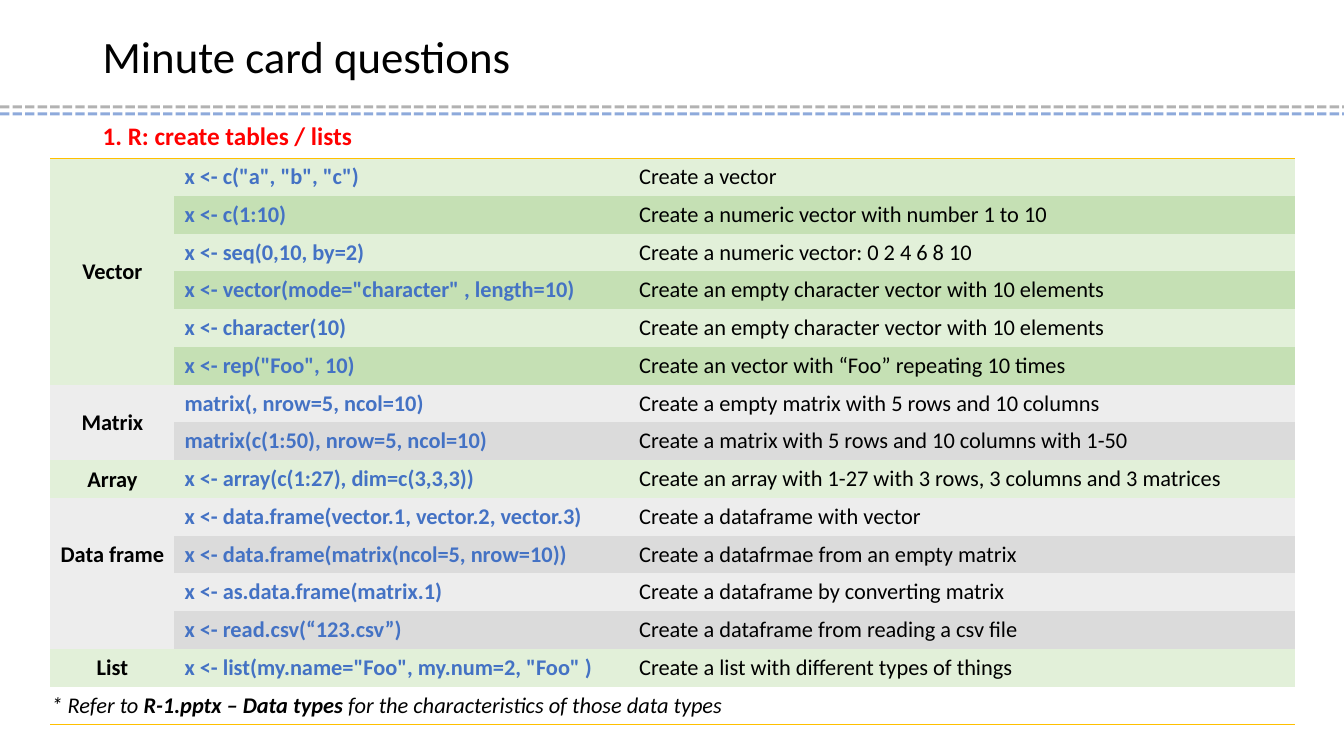
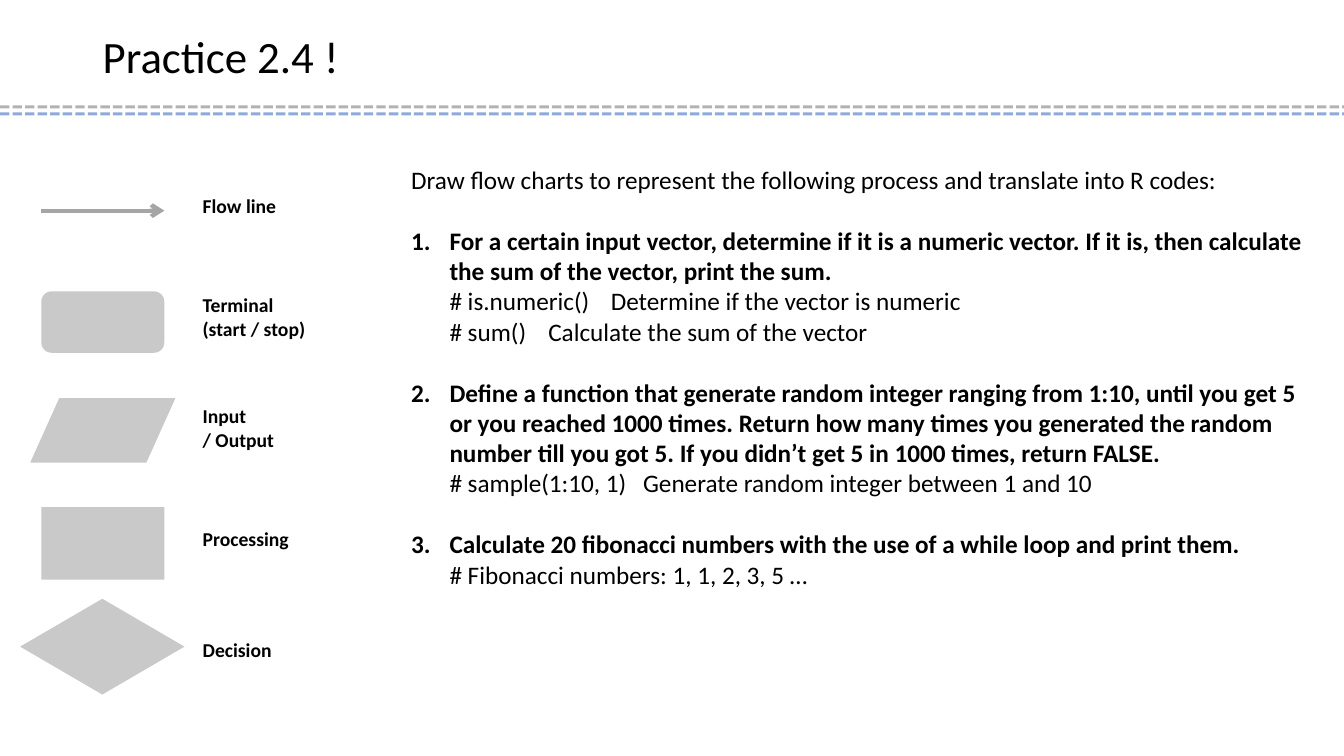
from dataclasses import dataclass

from lxml import etree
from pptx import Presentation
from pptx.dml.color import RGBColor
from pptx.enum.dml import MSO_LINE
from pptx.enum.shapes import MSO_CONNECTOR, MSO_SHAPE
from pptx.enum.text import MSO_ANCHOR, PP_ALIGN
from pptx.oxml.ns import qn
from pptx.util import Inches, Pt

STRAIGHT = MSO_CONNECTOR.STRAIGHT
SYS_DASH = MSO_LINE.SQUARE_DOT
MIDDLE = MSO_ANCHOR.MIDDLE
CENTER = PP_ALIGN.CENTER
ROUNDED = MSO_SHAPE.ROUNDED_RECTANGLE
DATA = MSO_SHAPE.FLOWCHART_DATA
RECTANGLE = MSO_SHAPE.RECTANGLE
DIAMOND = MSO_SHAPE.DIAMOND

FONT = "Calibri"
BLACK, RED, BLUE, GOLD = "000000", "FF0000", "4472C4", "FFC000"
BAND_GRAY, ARROW_GRAY, SYMBOL_GRAY = "808080", "A5A5A5", "C9C9C9"
GREENS, GRAYS = ("E2F0D9", "C5E0B4"), ("EDEDED", "DBDBDB")
PLAIN_TABLE = "{2D5ABB26-0587-4C30-8999-92F81FD0307C}"
WIDTH, HEIGHT = 13.33, 7.5
INDENT = 0.38


@dataclass
class DataType:
    name: str
    merged_rows: int
    shades: tuple[str, str]
    commands: list[tuple[str, str]]


@dataclass
class Symbol:
    preset: int
    left: float
    top: float
    width: float
    height: float


@dataclass
class Hint:
    text: str
    gap: float = 0


@dataclass
class Task:
    question: str
    hints: list[Hint]


DATA_TYPES = [
    DataType("Vector", 6, GREENS, [
        ('x <- c("a", "b", "c")', "Create a vector"),
        ("x <- c(1:10)", "Create a numeric vector with number 1 to 10"),
        ("x <- seq(0,10, by=2)", "Create a numeric vector: 0 2 4 6 8 10"),
        ('x <- vector(mode="character" , length=10)',
         "Create an empty character vector with 10 elements"),
        ("x <- character(10)", "Create an empty character vector with 10 elements"),
        ('x <- rep("Foo", 10)', "Create an vector with “Foo” repeating 10 times"),
    ]),
    DataType("Matrix", 2, GRAYS, [
        ("matrix(, nrow=5, ncol=10)", "Create a empty matrix with 5 rows and 10 columns"),
        ("matrix(c(1:50), nrow=5, ncol=10)",
         "Create a matrix with 5 rows and 10 columns with 1-50"),
    ]),
    DataType("Array", 1, GREENS, [
        ("x <- array(c(1:27), dim=c(3,3,3))",
         "Create an array with 1-27 with 3 rows, 3 columns and 3 matrices"),
    ]),
    DataType("Data frame", 3, GRAYS, [
        ("x <- data.frame(vector.1, vector.2, vector.3)", "Create a dataframe with vector"),
        ("x <- data.frame(matrix(ncol=5, nrow=10))",
         "Create a datafrmae from an empty matrix"),
        ("x <- as.data.frame(matrix.1)", "Create a dataframe by converting matrix"),
        ("x <- read.csv(“123.csv”)", "Create a dataframe from reading a csv file"),
    ]),
    DataType("List", 1, GREENS, [
        ('x <- list(my.name="Foo", my.num=2, "Foo" )',
         "Create a list with different types of things"),
    ]),
]
# Footnote runs: text, bold
FOOTNOTE = [("* Refer to ", False), ("R-1.pptx – Data types ", True),
            ("for the characteristics of those data types", False)]

SYMBOLS = [
    Symbol(ROUNDED, 0.41, 2.89, 1.22, 0.61),
    Symbol(DATA, 0.3, 3.95, 1.44, 0.64),
    Symbol(RECTANGLE, 0.41, 5.03, 1.22, 0.72),
    Symbol(DIAMOND, 0.2, 5.94, 1.63, 0.95),
]
SYMBOL_LABELS = ["Flow line", "Terminal\n(start / stop)", "Input\n/ Output",
                 "Processing", "Decision"]
INTRO = "Draw flow charts to represent the following process and translate into R codes:"
TASKS = [
    Task("For a certain input vector, determine if it is a numeric vector. "
         "If it is, then calculate\vthe sum of the vector, print the sum.",
         [Hint("# is.numeric()\tDetermine if the vector is numeric", 1.98),
          Hint("# sum()\tCalculate the sum of the vector", 1.36)]),
    Task("Define a function that generate random integer ranging from 1:10, until you get 5 "
         "or you reached 1000 times. Return how many times you generated the random "
         "number till you got 5. If you didn’t get 5 in 1000 times, return FALSE.",
         [Hint("# sample(1:10, 1)\tGenerate random integer between 1 and 10", 2.3)]),
    Task("Calculate 20 fibonacci numbers with the use of a while loop and print them.",
         [Hint("# Fibonacci numbers: 1, 1, 2, 3, 5 …")]),
]


def rgb(color: str) -> RGBColor:
    return RGBColor.from_string(color)


def style(paragraph, size: float, color: str = BLACK, bold: bool = False) -> None:
    font = paragraph.font
    font.name, font.size, font.bold = FONT, Pt(size), bold
    font.color.rgb = rgb(color)


def add_text_box(slide, left: float, top: float, width: float, height: float):
    frame = slide.shapes.add_textbox(
        Inches(left), Inches(top), Inches(width), Inches(height)).text_frame
    frame.word_wrap = True
    return frame


def add_line(slide, left: float, right: float, y: float, color: str, width: float):
    line = slide.shapes.add_connector(
        STRAIGHT, Inches(left), Inches(y), Inches(right), Inches(y))
    line.line.color.rgb = rgb(color)
    line.line.width = Pt(width)
    etree.SubElement(line._element.spPr, qn("a:effectLst"))
    return line


def add_titled_slide(prs, title: str):
    """Blank slide with the shared title and the two dashed bands."""
    slide = prs.slides.add_slide(prs.slide_layouts[6])
    for y, color in ((1.06, BAND_GRAY), (1.13, BLUE)):
        band = add_line(slide, 0, WIDTH, y, color, 2.25)
        band.line.dash_style = SYS_DASH
        for fill in band._element.spPr.iter(qn("a:srgbClr")):
            etree.SubElement(fill, qn("a:alpha"), val="60000")
    frame = add_text_box(slide, 0.92, 0.18, 11.5, 0.81)
    frame.vertical_anchor = MIDDLE
    heading = frame.paragraphs[0]
    heading.text = title
    heading.line_spacing = 0.9
    style(heading, 32)
    return slide


def add_plain_table(slide, left: float, top: float, columns: list[float],
                    rows: int, height: float):
    graphic = slide.shapes.add_table(rows, len(columns), Inches(left), Inches(top),
                                     Inches(sum(columns)), Inches(height))
    for style_id in graphic._element.iter(qn("a:tableStyleId")):
        style_id.text = PLAIN_TABLE
    table = graphic.table
    table.first_row = table.horz_banding = False
    for column, width in zip(table.columns, columns):
        column.width = Inches(width)
    for row in table.rows:
        row.height = Inches(height / rows)
    return table


def fill_cell(cell, text: str, size: float, color: str = BLACK, bold: bool = False,
              shade: str = "") -> None:
    if shade:
        cell.fill.solid()
        cell.fill.fore_color.rgb = rgb(shade)
    else:
        cell.fill.background()
    cell.text = text
    for paragraph in cell.text_frame.paragraphs:
        style(paragraph, size, color, bold)


def tighten(cell) -> None:
    cell.vertical_anchor = MIDDLE
    cell.margin_left = cell.margin_right = cell.margin_top = Inches(0.01)
    cell.margin_bottom = 0


def add_top_border(cell) -> None:
    edge = etree.Element(qn("a:lnT"), w=str(Pt(1)))
    fill = etree.SubElement(edge, qn("a:solidFill"))
    etree.SubElement(fill, qn("a:srgbClr"), val=GOLD)
    cell._tc.get_or_add_tcPr().insert(0, edge)


def build_data_types(prs) -> None:
    slide = add_titled_slide(prs, "Minute card questions")
    topic = add_text_box(slide, 0.92, 1.2, 11.5, 0.37).paragraphs[0]
    topic.text = "1. R: create tables / lists"
    topic.line_spacing = 0.8
    style(topic, 18, RED, True)

    # Commands grouped by data type
    left, top, height, columns = 0.5, 1.57, 5.62, [1.23, 4.51, 6.6]
    last = sum(len(kind.commands) for kind in DATA_TYPES)
    table = add_plain_table(slide, left, top, columns, last + 1, height)
    row = 0
    for kind in DATA_TYPES:
        first = row
        for index, (command, meaning) in enumerate(kind.commands):
            name_cell = table.cell(row, 0)
            fill_cell(name_cell, "" if index else kind.name, 16,
                      bold=True, shade=kind.shades[0])
            tighten(name_cell)
            name_cell.text_frame.paragraphs[0].alignment = CENTER
            shade = kind.shades[index % 2]
            fill_cell(table.cell(row, 1), command, 16, BLUE, True, shade)
            fill_cell(table.cell(row, 2), meaning, 16, shade=shade)
            row += 1
        if kind.merged_rows > 1:
            table.cell(first, 0).merge(table.cell(first + kind.merged_rows - 1, 0))

    # Footnote row and outer rules
    for column in range(len(columns)):
        cell = table.cell(last, column)
        fill_cell(cell, "", 16)
        tighten(cell)
        add_top_border(table.cell(0, column))
    table.cell(last, 0).merge(table.cell(last, 2))
    footnote = table.cell(last, 0).text_frame.paragraphs[0]
    footnote.font.italic = True
    for text, bold in FOOTNOTE:
        run = footnote.add_run()
        run.text = text
        run.font.bold = bold
    add_line(slide, left, left + sum(columns), top + height, GOLD, 1)


def add_number(paragraph, number: int) -> None:
    props = paragraph._p.get_or_add_pPr()
    props.set("marL", str(Inches(INDENT)))
    props.set("indent", str(-Inches(INDENT)))
    etree.SubElement(props, qn("a:buFont"), typeface="+mj-lt")
    etree.SubElement(props, qn("a:buAutoNum"), type="arabicPeriod", startAt=str(number))


def add_tabs(paragraph, stops: list[float]) -> None:
    tabs = etree.SubElement(paragraph._p.get_or_add_pPr(), qn("a:tabLst"))
    for stop in stops:
        etree.SubElement(tabs, qn("a:tab"), pos=str(Inches(stop)), algn="l")


def build_practice(prs) -> None:
    slide = add_titled_slide(prs, "Practice 2.4 !")

    # Flow chart symbols
    arrow = add_line(slide, 0.41, 1.63, 2.09, ARROW_GRAY, 3)
    etree.SubElement(arrow.line._get_or_add_ln(), qn("a:tailEnd"), type="arrow")
    for symbol in SYMBOLS:
        shape = slide.shapes.add_shape(
            symbol.preset, Inches(symbol.left), Inches(symbol.top),
            Inches(symbol.width), Inches(symbol.height))
        shape.shadow.inherit = False
        shape.fill.solid()
        shape.fill.fore_color.rgb = rgb(SYMBOL_GRAY)
        shape.line.fill.background()
    labels = add_plain_table(slide, 2, 1.5, [1.15], len(SYMBOL_LABELS), 5.5)
    for row, label in enumerate(SYMBOL_LABELS):
        fill_cell(labels.cell(row, 0), label, 14, bold=True)
        tighten(labels.cell(row, 0))

    # Numbered tasks with hints
    frame = add_text_box(slide, 3.98, 1.58, 9.08, 4.64)
    intro = frame.paragraphs[0]
    intro.text = INTRO
    style(intro, 18)
    for number, task in enumerate(TASKS, start=1):
        question = frame.add_paragraph()
        question.text = task.question
        question.space_before = Pt(22)
        add_number(question, number)
        style(question, 18, bold=True)
        for hint in task.hints:
            line = frame.add_paragraph()
            line.text = "\t" + hint.text
            add_tabs(line, [INDENT, hint.gap] if hint.gap else [INDENT])
            style(line, 18)


def main() -> None:
    prs = Presentation()
    prs.slide_width, prs.slide_height = Inches(WIDTH), Inches(HEIGHT)
    build_data_types(prs)
    build_practice(prs)
    prs.save("out.pptx")


if __name__ == "__main__":
    main()
